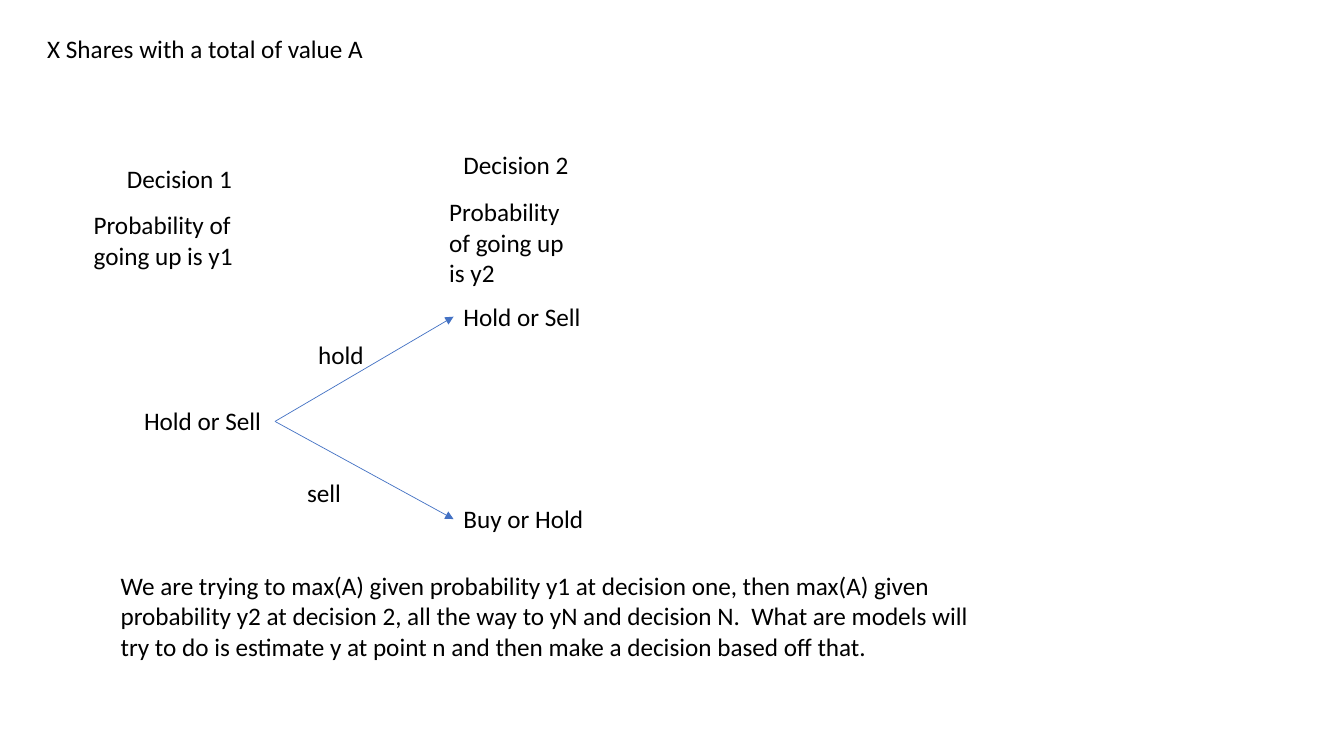
import pptx
import pptx.dml.color
import pptx.enum.shapes
import pptx.enum.text
import pptx.oxml.ns
import pptx.util
from lxml import etree
from pptx.util import Cm

LINE_H = 1.02  # height of a one-line box, cm
NODE_X = 11.43  # left edge of the second decision column, cm
FORK = (6.93, 10.62)  # point where both branches start, cm
BODY = {"name": "Calibri", "size": pptx.util.Pt(18)}

# text, left, top, width, height
TEXTS = [
    ("X Shares with a total of value A", 0.94, 0.71, 8.51, LINE_H),
    ("Decision 1", 2.95, 3.99, 5.44, LINE_H),
    ("Probability of going up is y1", 2.11, 5.16, 5.36, 1.8),
    ("Hold or Sell", 3.38, 10.08, 3.56, LINE_H),
    ("Decision 2", NODE_X, 3.63, 5.21, LINE_H),
    ("Probability of going up is y2", 11.07, 4.83, 3.71, 2.57),
    ("Hold or Sell", NODE_X, 7.47, 4.22, LINE_H),
    ("Buy or Hold", NODE_X, 12.57, 3.94, LINE_H),
    ("We are trying to max(A) given probability y1 at decision one, "
     "then max(A) given probability y2 at decision 2, all the way to yN "
     "and decision N.  What are models will try to do is estimate y at "
     "point n and then make a decision based off that.",
     2.79, 14.25, 22.3, 2.57),
]
BRANCH_LABELS = [
    ("hold", 7.77, 8.43, 1.68, LINE_H),
    ("sell", 7.49, 11.91, 1.37, LINE_H),
]
BRANCH_ENDS = [(NODE_X, 7.98), (NODE_X, 13.08)]


def color(value):
    return pptx.dml.color.RGBColor.from_string(value)


def add_text(s, text, left, top, width, height, wrap=True):
    sp = s.shapes.add_textbox(Cm(left), Cm(top), Cm(width), Cm(height))
    tf = sp.text_frame
    tf.word_wrap = wrap
    tf.auto_size = pptx.enum.text.MSO_AUTO_SIZE.SHAPE_TO_FIT_TEXT
    r = tf.paragraphs[0].add_run()
    r.text = text
    for key, value in BODY.items():
        setattr(r.font, key, value)
    r.font.color.rgb = color("000000")


def add_arrow(s, start, end):
    sp = s.shapes.add_connector(
        pptx.enum.shapes.MSO_CONNECTOR.STRAIGHT,
        *(Cm(v) for v in start + end))
    sp.line.color.rgb = color("4472C4")
    sp.line.width = pptx.util.Pt(0.5)
    # Arrowhead, and no shadow
    qn = pptx.oxml.ns.qn
    etree.SubElement(sp.line._get_or_add_ln(), qn("a:tailEnd"), type="triangle")
    etree.SubElement(sp._element.spPr, qn("a:effectLst"))


def main():
    prs = pptx.Presentation()
    prs.slide_width, prs.slide_height = Cm(33.87), Cm(19.05)
    s = prs.slides.add_slide(prs.slide_layouts[6])

    # Branches of the decision tree
    for end in BRANCH_ENDS:
        add_arrow(s, FORK, end)

    # Headings, nodes and explanation
    for item in TEXTS:
        add_text(s, *item)

    # Branch labels
    for item in BRANCH_LABELS:
        add_text(s, *item, wrap=False)

    prs.save("out.pptx")


if __name__ == "__main__":
    main()
